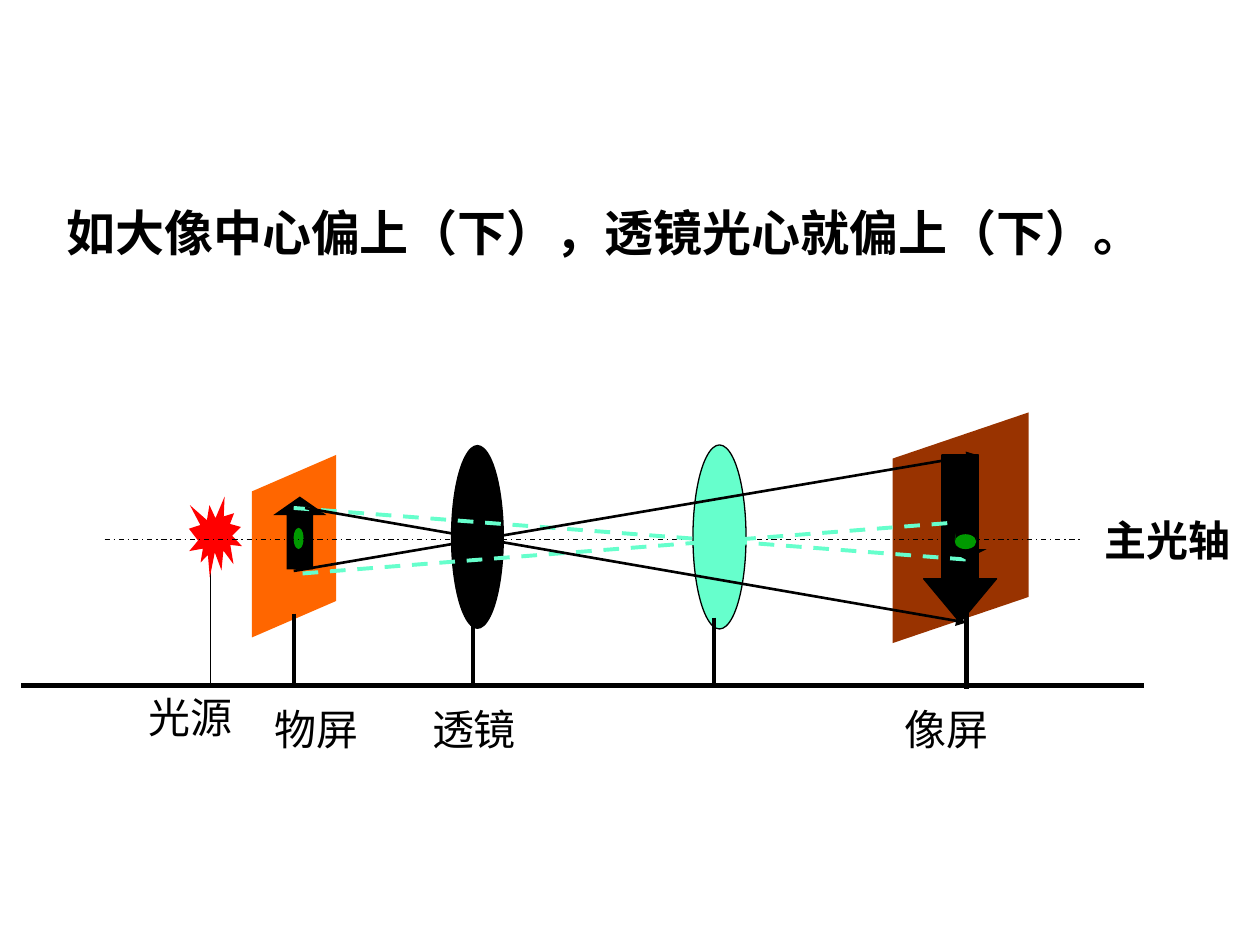
from typing import NamedTuple, Optional

from pptx import Presentation
from pptx.dml.color import RGBColor
from pptx.enum.dml import MSO_LINE
from pptx.enum.shapes import MSO_CONNECTOR, MSO_SHAPE
from pptx.enum.text import MSO_AUTO_SIZE
from pptx.oxml.ns import qn
from pptx.util import Cm, Pt
from lxml.etree import SubElement

BLACK, GREEN, AQUA = "000000", "009900", "66FFCC"
RAIL_Y = 13.82
AXIS_Y = 10.87


class Figure(NamedTuple):
    kind: MSO_SHAPE
    left: float
    top: float
    width: float
    height: float
    fill: str
    outline: Optional[str] = None
    adjustments: tuple[float, ...] = ()
    rotation: float = 0
    flipped: bool = False


class Line(NamedTuple):
    start: tuple[float, float]
    end: tuple[float, float]
    weight: float
    color: str = BLACK
    dash: Optional[MSO_LINE] = None
    arrow: bool = False


class Label(NamedTuple):
    text: str
    left: float
    top: float
    width: float = 3
    height: float = 1.27
    size: float = 24
    bold: bool = False
    line_spacing: float = 1


def rgb(color: str) -> RGBColor:
    return RGBColor.from_string(color)


def draw_figure(slide, figure: Figure) -> None:
    shape = slide.shapes.add_shape(
        figure.kind, Cm(figure.left), Cm(figure.top), Cm(figure.width), Cm(figure.height))
    shape.shadow.inherit = False
    shape.fill.solid()
    shape.fill.fore_color.rgb = rgb(figure.fill)
    if figure.outline:
        shape.line.color.rgb = rgb(figure.outline)
        shape.line.width = Pt(0.75)
    else:
        shape.line.fill.background()
    for index, value in enumerate(figure.adjustments):
        shape.adjustments[index] = value
    shape.rotation = figure.rotation
    if figure.flipped:
        shape._element.spPr.find(qn("a:xfrm")).set("flipH", "1")


def draw_line(slide, line: Line) -> None:
    connector = slide.shapes.add_connector(
        MSO_CONNECTOR.STRAIGHT, *(Cm(value) for value in line.start + line.end))
    connector.line.color.rgb = rgb(line.color)
    connector.line.width = Pt(line.weight)
    if line.dash:
        connector.line.dash_style = line.dash
    if line.arrow:
        SubElement(connector.line._get_or_add_ln(), qn("a:tailEnd"), type="triangle")
    SubElement(connector._element.spPr, qn("a:effectLst"))


def draw_label(slide, label: Label) -> None:
    box = slide.shapes.add_textbox(
        Cm(label.left), Cm(label.top), Cm(label.width), Cm(label.height))
    frame = box.text_frame
    frame.word_wrap = True
    frame.auto_size = MSO_AUTO_SIZE.SHAPE_TO_FIT_TEXT
    paragraph = frame.paragraphs[0]
    paragraph.text = label.text
    paragraph.line_spacing = label.line_spacing
    paragraph.font.name = "Times New Roman"
    paragraph.font.size = Pt(label.size)
    paragraph.font.bold = label.bold
    paragraph.font.color.rgb = rgb(BLACK)


def screen(left: float, top: float, width: float, height: float,
           fill: str, rotation: float) -> Figure:
    return Figure(MSO_SHAPE.FLOWCHART_DATA, left, top, width, height, fill,
                  rotation=rotation, flipped=True)


def lens(left: float, fill: str, outline: Optional[str] = None) -> Figure:
    return Figure(MSO_SHAPE.OVAL, left, 8.97, 1.07, 3.71, fill, outline)


def center_dot(left: float, top: float, width: float, height: float) -> Figure:
    return Figure(MSO_SHAPE.OVAL, left, top, width, height, GREEN)


def post(x: float, top: float, weight: float = 2.25, bottom: float = RAIL_Y) -> Line:
    return Line((x, top), (x, bottom), weight)


def caption(text: str, left: float, top: float = 14.05) -> Label:
    return Label(text, left, top)


ELEMENTS = [
    screen(4.09, 10.16, 3.68, 1.70, "FF6600", 90),
    post(5.92, 12.37),
    Line((0.43, RAIL_Y), (23.06, RAIL_Y), 3),
    post(4.24, 11.38, 0.75),
    Figure(MSO_SHAPE.EXPLOSION1, 3.81, 10.01, 1.07, 1.63, "FF0000"),
    lens(9.09, BLACK),
    post(9.53, 12.45),
    screen(17.04, 9.27, 4.65, 2.74, "993300", 270),
    caption("光源", 2.74, RAIL_Y),
    caption("物屏", 5.28),
    caption("透镜", 8.46),
    caption("像屏", 17.98),
    Figure(MSO_SHAPE.UP_ARROW, 5.51, 10.01, 1.07, 1.47, BLACK, adjustments=(0.5, 0.35)),
    center_dot(5.92, 10.64, 0.2, 0.43),
    post(19.48, 12.14, 3, 13.89),
    Label("主光轴", 22.02, 10.24, 3.38, bold=True),
    Line((2.11, AXIS_Y), (21.79, AXIS_Y), 0.75, dash=MSO_LINE.DASH_DOT),
    Figure(MSO_SHAPE.DOWN_ARROW, 18.62, 9.17, 1.47, 3.38, BLACK, BLACK, (0.5, 0.6)),
    center_dot(19.25, 10.57, 0.43, 0.61),
    Label("如大像中心偏上（下），透镜光心就偏上（下）。", 1.09, 3.73, 23.24, 3.45,
          28, True, 1.2),
    lens(13.97, AQUA, BLACK),
    post(14.4, 12.45),
    Line((5.92, 10.24), (19.48, 11.28), 2.25, AQUA, MSO_LINE.DASH),
    Line((6.1, 11.56), (19.43, 10.52), 2.25, AQUA, MSO_LINE.DASH),
    Line((5.92, 11.51), (19.69, 9.17), 1.5, arrow=True),
    Line((6.15, 10.24), (19.48, 12.55), 1.5, arrow=True),
    Figure(MSO_SHAPE.DOWN_ARROW, 19.05, 10.44, 0.84, 0.84, BLACK, adjustments=(0.5, 0.25)),
    center_dot(19.25, 10.77, 0.43, 0.3),
]

DRAWERS = {Figure: draw_figure, Line: draw_line, Label: draw_label}


def main() -> None:
    presentation = Presentation()
    presentation.slide_width = Cm(25.4)
    presentation.slide_height = Cm(19.05)
    slide = presentation.slides.add_slide(presentation.slide_layouts[6])
    for element in ELEMENTS:
        DRAWERS[type(element)](slide, element)
    presentation.save("out.pptx")


if __name__ == "__main__":
    main()
